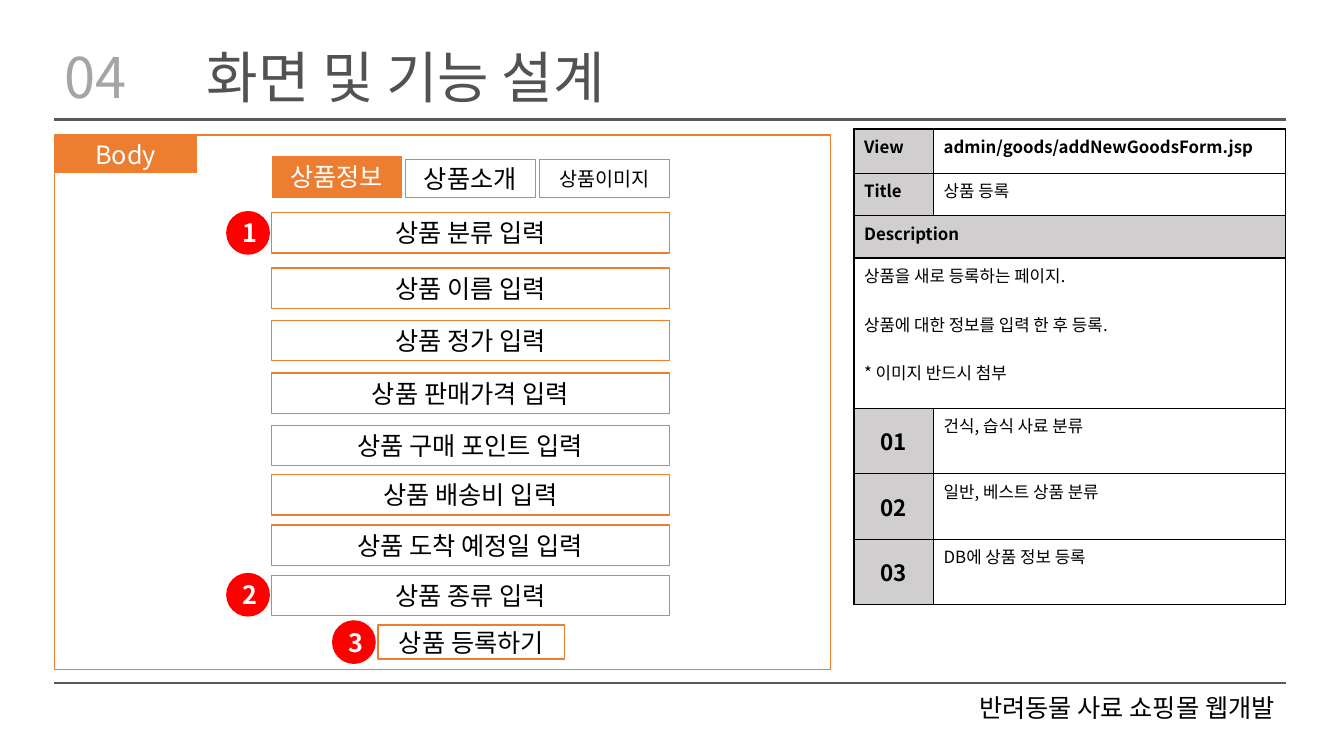
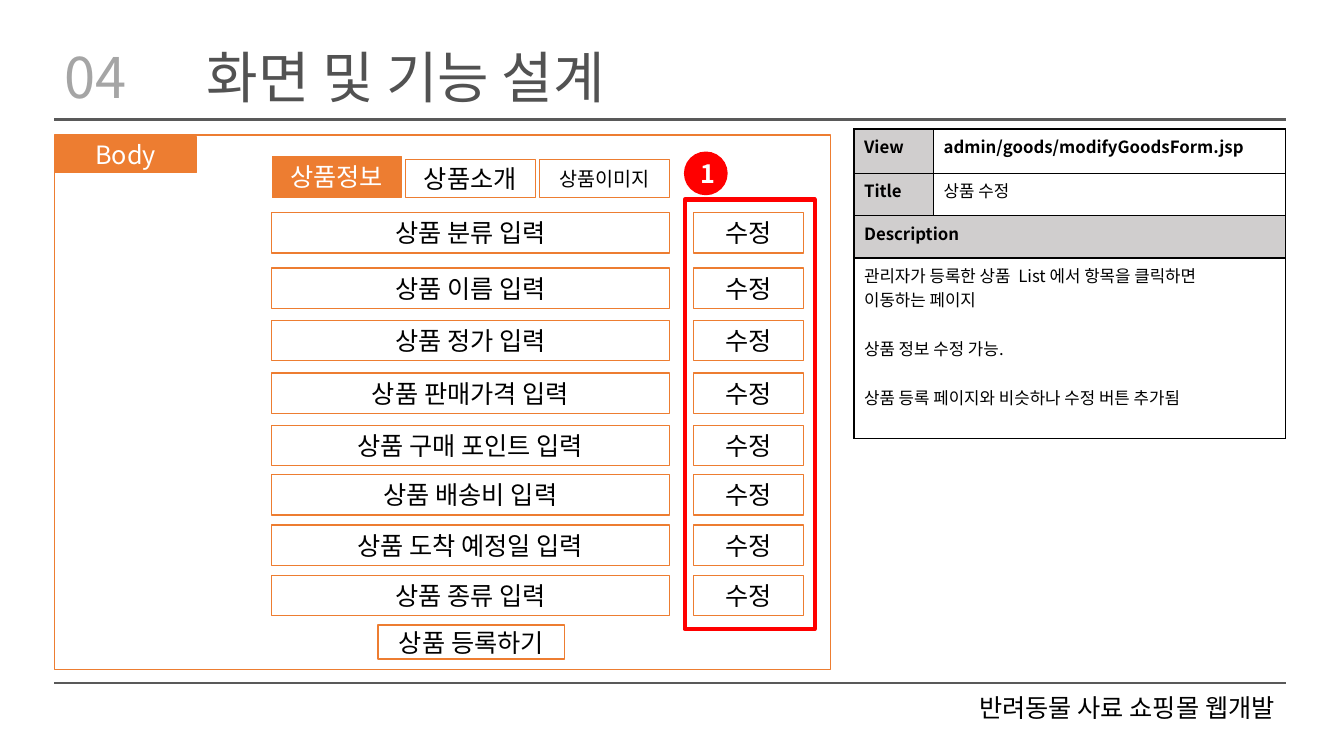
from dataclasses import dataclass
from itertools import chain
from typing import NamedTuple, Optional

from lxml.etree import SubElement
from pptx import Presentation
from pptx.dml.color import RGBColor
from pptx.enum.shapes import MSO_CONNECTOR, MSO_SHAPE
from pptx.enum.text import MSO_ANCHOR, MSO_AUTO_SIZE, PP_ALIGN
from pptx.oxml.ns import qn
from pptx.util import Emu, Pt


# Theme
@dataclass(frozen=True)
class Theme:
    font: str = "Noto Sans CJK KR"
    white: str = "FFFFFF"
    black: str = "000000"
    orange: str = "ED7D31"
    red: str = "FF0000"
    rule: str = "595959"
    title: str = "525252"
    number: str = "A5A5A5"
    label: str = "D0CECE"
    head: int = 40
    text: int = 18
    index: int = 16
    small: int = 14
    note: int = 12


T = Theme()
SCALE = 9144  # 100 px to the inch
LEFT, RIGHT = 54, 1275
CENTER = {"alignment": PP_ALIGN.CENTER}
HEAD = {"alignment": PP_ALIGN.LEFT, "line_spacing": 0.9, "space_before": Pt(10)}
FOOT = {"alignment": PP_ALIGN.RIGHT, "line_spacing": 0.8, "space_before": Pt(10)}
MIDDLE = {"word_wrap": True, "auto_size": MSO_AUTO_SIZE.NONE,
          "vertical_anchor": MSO_ANCHOR.MIDDLE}
TOP = {**MIDDLE, "vertical_anchor": MSO_ANCHOR.TOP, "margin_top": 0}


class Box(NamedTuple):
    x: int
    y: int
    w: int
    h: int


@dataclass(frozen=True)
class Type:
    size: int = T.text
    color: str = T.black
    bold: bool = False


@dataclass(frozen=True)
class Skin:
    fill: Optional[str] = None
    line: Optional[str] = T.orange
    width: float = 1


@dataclass(frozen=True)
class Line:
    text: str
    gap: float = 0


@dataclass(frozen=True)
class Mark:
    text: str
    x: int
    y: int


@dataclass(frozen=True)
class Page:
    view: str
    title: str
    about: tuple[Line, ...]
    depth: int
    notes: tuple[str, ...]
    marks: tuple[Mark, ...]
    edit: bool = False


# Content
NUMBER, TITLE = "04", "화면 및 기능 설계"
FOOTER = "반려동물 사료 쇼핑몰 웹개발"
FIELDS = ("상품 분류 입력", "상품 이름 입력", "상품 정가 입력", "상품 판매가격 입력",
          "상품 구매 포인트 입력", "상품 배송비 입력", "상품 도착 예정일 입력", "상품 종류 입력")
TOPS = tuple(chain((211,), range(266, 423, 52), range(471, 572, 50)))
TABS = (("상품소개", T.text), ("상품이미지", T.small))
BLANK = 17.4  # one line of note text, in points

PAGES = (
    Page("admin/goods/addNewGoodsForm.jsp", "상품 등록",
         (Line("상품을 새로 등록하는 페이지."),
          Line("상품에 대한 정보를 입력 한 후 등록.", BLANK),
          Line("* 이미지 반드시 첨부", BLANK)),
         149,
         ("건식, 습식 사료 분류", "일반, 베스트 상품 분류", "DB에 상품 정보 등록"),
         (Mark("1", 225, 210), Mark("2", 225, 569), Mark("3", 330, 616))),
    Page("admin/goods/modifyGoodsForm.jsp", "상품 수정",
         (Line("관리자가 등록한 상품  List 에서 항목을 클릭하면"),
          Line("이동하는 페이지"),
          Line("상품 정보 수정 가능.", BLANK),
          Line("상품 등록 페이지와 비슷하나 수정 버튼 추가됨", BLANK)),
         179, (), (Mark("1", 679, 151),), True),
)


# Helpers
def px(n: int) -> Emu:
    return Emu(n * SCALE)


def span(box: Box) -> list[Emu]:
    return [px(n) for n in box]


def rgb(code: str) -> RGBColor:
    return RGBColor.from_string(code)


def apply(obj, vals: dict) -> None:
    for key, val in vals.items():
        setattr(obj, key, val)


def write(para, text: str, kind: Type, form: dict) -> None:
    apply(para, form)
    run = para.add_run()
    run.text = text
    apply(run.font, {"name": T.font, "size": Pt(kind.size), "bold": kind.bold})
    run.font.color.rgb = rgb(kind.color)
    SubElement(run.font._element, qn("a:ea"), typeface=T.font)


def fill_text(frame, text: str, kind: Type, form: dict, fit: dict) -> None:
    apply(frame, fit)
    write(frame.paragraphs[0], text, kind, form)


def draw(slide, box: Box, skin: Skin, text: str = "", kind: Type = Type(),
         shape: MSO_SHAPE = MSO_SHAPE.RECTANGLE, form: dict = CENTER,
         fit: dict = MIDDLE) -> None:
    item = slide.shapes.add_shape(shape, *span(box))
    item.shadow.inherit = False
    if skin.fill:
        item.fill.solid()
        item.fill.fore_color.rgb = rgb(skin.fill)
    else:
        item.fill.background()
    if skin.line:
        item.line.color.rgb = rgb(skin.line)
        item.line.width = Pt(skin.width)
    else:
        item.line.fill.background()
    if text:
        fill_text(item.text_frame, text, kind, form, fit)


def rule(slide, y: int, width: float) -> None:
    item = slide.shapes.add_connector(
        MSO_CONNECTOR.STRAIGHT, px(LEFT), px(y), px(RIGHT), px(y))
    item.line.color.rgb = rgb(T.rule)
    item.line.width = Pt(width)
    SubElement(item._element.spPr, qn("a:effectLst"))


# Frame shared by all slides
def frame(slide) -> None:
    rule(slide, 119, 2.25)
    rule(slide, 678, 1.5)
    draw(slide, Box(773, 693, 501, 37), Skin(T.white, None), FOOTER,
         form=FOOT, fit=TOP)
    num = slide.shapes.add_textbox(*span(Box(LEFT, 47, 84, 66)))
    fill_text(num.text_frame, NUMBER, Type(T.head, T.number), HEAD, MIDDLE)
    head = slide.shapes.title
    apply(head, dict(zip(("left", "top", "width", "height"),
                         span(Box(195, 47, 1080, 66)))))
    fill_text(head.text_frame, TITLE, Type(T.head, T.title), HEAD, MIDDLE)


# Description table
def style(cell, color: str) -> None:
    props = cell._tc.get_or_add_tcPr()
    for side in ("lnL", "lnR", "lnT", "lnB"):
        edge = SubElement(props, qn(f"a:{side}"), w=str(Pt(1)))
        paint = SubElement(edge, qn("a:solidFill"))
        SubElement(paint, qn("a:srgbClr"), val=T.black)
    cell.fill.solid()
    cell.fill.fore_color.rgb = rgb(color)


def put(cell, text: str, kind: Type, form: Optional[dict] = None) -> None:
    write(cell.text_frame.paragraphs[0], text, kind, form or {})


def sheet(slide, page: Page) -> None:
    tall = (44, 42, 42, page.depth) + (65,) * len(page.notes)
    grid = slide.shapes.add_table(
        len(tall), 2, *span(Box(847, 128, 428, sum(tall)))).table
    apply(grid, {"first_row": False, "horz_banding": False})
    for col, width in zip(grid.columns, (79, 349)):
        col.width = px(width)
    for i, (row, high) in enumerate(zip(grid.rows, tall)):
        row.height = px(high)
        for j, cell in enumerate(row.cells):
            gray = i == 2 or (j == 0 and i != 3)
            style(cell, T.label if gray else T.white)
    for i in (2, 3):
        grid.cell(i, 0).merge(grid.cell(i, 1))

    plain, bold = Type(T.note), Type(T.note, bold=True)
    put(grid.cell(0, 0), "View", bold)
    put(grid.cell(0, 1), page.view, bold)
    put(grid.cell(1, 0), "Title", bold)
    put(grid.cell(1, 1), page.title, plain)
    put(grid.cell(2, 0), "Description", bold)
    body = grid.cell(3, 0).text_frame
    for i, line in enumerate(page.about):
        para = body.add_paragraph() if i else body.paragraphs[0]
        write(para, line.text, plain, {"space_before": Pt(line.gap)})
    for i, note in enumerate(page.notes, 1):
        cell = grid.cell(i + 3, 0)
        cell.vertical_anchor = MSO_ANCHOR.MIDDLE
        put(cell, f"{i:02}", Type(T.index, bold=True), CENTER)
        put(grid.cell(i + 3, 1), note, plain)


# Screen mock-up
def screen(slide, page: Page) -> None:
    solid, light = Skin(T.orange), Type(color=T.white)
    draw(slide, Box(LEFT, 134, 770, 530), Skin())
    draw(slide, Box(LEFT, 136, 141, 35), solid, "Body", light)
    draw(slide, Box(270, 155, 128, 41), solid, "상품정보", light)
    for i, (name, size) in enumerate(TABS, 1):
        draw(slide, Box(269 + 133 * i, 158, 129, 38), Skin(T.white), name, Type(size))
    for name, y in zip(FIELDS, TOPS):
        draw(slide, Box(269, y, 395, 40), Skin(), name)
        if page.edit:
            draw(slide, Box(688, y, 109, 40), Skin(), "수정")
    draw(slide, Box(375, 620, 185, 34), Skin(), "상품 등록하기")
    if page.edit:
        draw(slide, Box(679, 198, 129, 426), Skin(line=T.red, width=3))
    for mark in page.marks:
        draw(slide, Box(mark.x, mark.y, 42, 42), Skin(T.red, T.red), mark.text,
             Type(color=T.white, bold=True), MSO_SHAPE.OVAL)


def main() -> None:
    deck = Presentation()
    apply(deck, {"slide_width": px(1333), "slide_height": px(750)})
    for page in PAGES:
        slide = deck.slides.add_slide(deck.slide_layouts[5])
        frame(slide)
        sheet(slide, page)
        screen(slide, page)
    deck.save("out.pptx")


if __name__ == "__main__":
    main()
